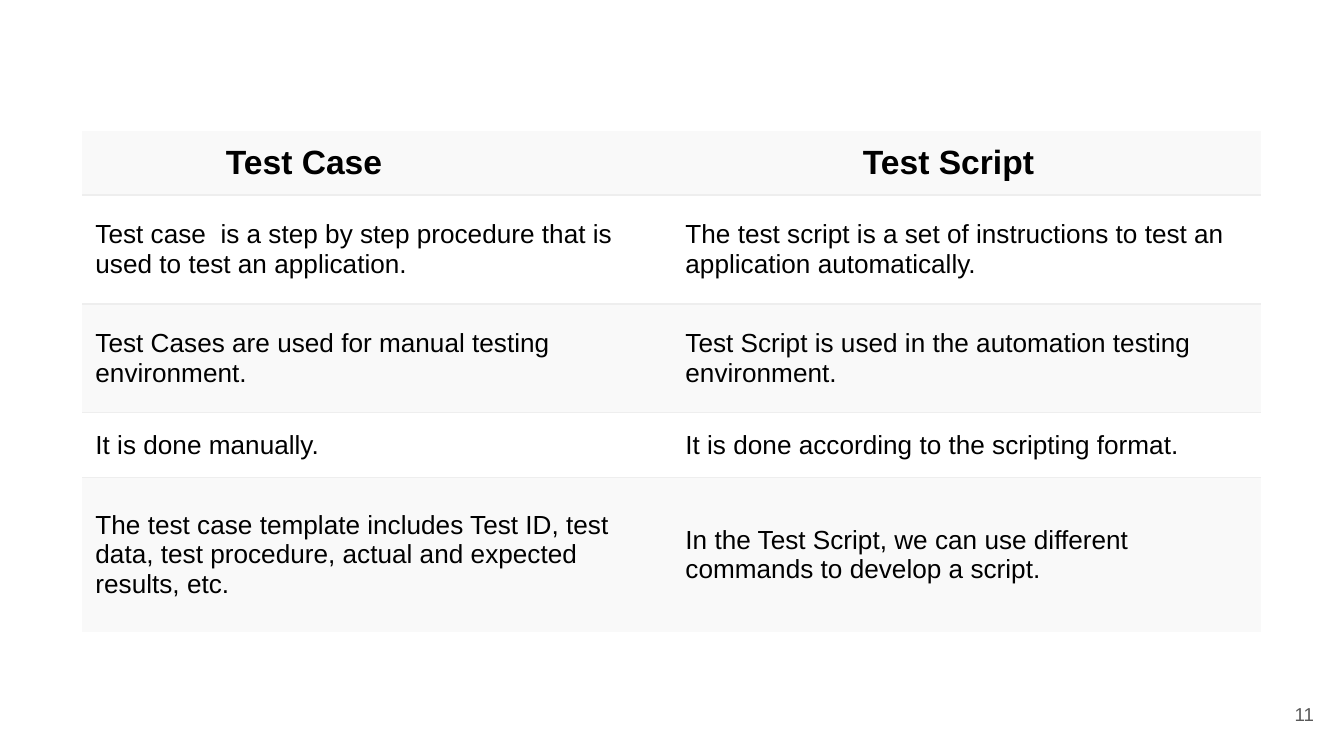
import pptx
import pptx.dml.color
import pptx.enum.text
import pptx.oxml
import pptx.oxml.ns
import pptx.util

RGB = pptx.dml.color.RGBColor
BLACK = RGB(0, 0, 0)
GREY = RGB(0x59, 0x59, 0x59)
RULE = RGB(0xEE, 0xEE, 0xEE)
BANDS = [RGB(0xF9, 0xF9, 0xF9), RGB(0xFF, 0xFF, 0xFF)]

ROWS = [
    ("Test Case", "Test Script"),
    ("Test case  is a step by step procedure that is used to test an application.",
     "The test script is a set of instructions to test an application automatically."),
    ("Test Cases are used for manual testing environment.",
     "Test Script is used in the automation testing environment."),
    ("It is done manually.",
     "It is done according to the scripting format."),
    ("The test case template includes Test ID, test data, test procedure, actual and expected results, etc.",
     "In the Test Script, we can use different commands to develop a script."),
]
HEIGHTS = [64, 109, 109, 65, 154]
WIDTHS = [590, 589]
INDENTS = [144, 191]
PAGE = "11"


def px(n):
    return pptx.util.Emu(round(n * 914400 / 134.4))


def style(par, size, color, bold=False):
    font = par.font
    font.name = "Arial"
    font.size = pptx.util.Pt(size)
    font.bold = bold
    font.color.rgb = color


def border(cell, sides):
    props = cell._tc.get_or_add_tcPr()
    ns = pptx.oxml.ns.nsdecls("a")
    for side in "LRTB":
        if side in sides:
            fill = f'<a:solidFill><a:srgbClr val="{RULE}"/></a:solidFill>'
        else:
            fill = "<a:noFill/>"
        props.append(pptx.oxml.parse_xml(
            f'<a:ln{side} {ns} w="{pptx.util.Pt(0.75)}">{fill}</a:ln{side}>'))


deck = pptx.Presentation()
deck.slide_width, deck.slide_height = px(1344), px(756)
slide = deck.slides.add_slide(deck.slide_layouts[6])

grid = slide.shapes.add_table(
    len(ROWS), len(WIDTHS), px(82), px(131), px(sum(WIDTHS)), px(sum(HEIGHTS))).table
grid.first_row = False
grid.horz_banding = False
for col, width in zip(grid.columns, WIDTHS):
    col.width = px(width)

last = len(ROWS) - 1
for i, texts in enumerate(ROWS):
    grid.rows[i].height = px(HEIGHTS[i])
    head = i == 0
    sides = ("" if head else "T") + ("" if i == last else "B")
    for j, text in enumerate(texts):
        cell = grid.cell(i, j)
        border(cell, sides)
        cell.fill.solid()
        cell.fill.fore_color.rgb = BANDS[i % 2]
        cell.vertical_anchor = pptx.enum.text.MSO_ANCHOR.MIDDLE
        if head:
            cell.margin_left = px(INDENTS[j])
        cell.text = text
        style(cell.text_frame.paragraphs[0], 18 if head else 14, BLACK, head)

frame = slide.shapes.add_textbox(px(1246), px(685), px(81), px(58)).text_frame
frame.word_wrap = True
frame.vertical_anchor = pptx.enum.text.MSO_ANCHOR.MIDDLE
frame.margin_left = frame.margin_right = px(13)
frame.margin_top = frame.margin_bottom = px(13)
frame.text = PAGE
par = frame.paragraphs[0]
par.alignment = pptx.enum.text.PP_ALIGN.RIGHT
style(par, 10, GREY)

deck.save("out.pptx")
